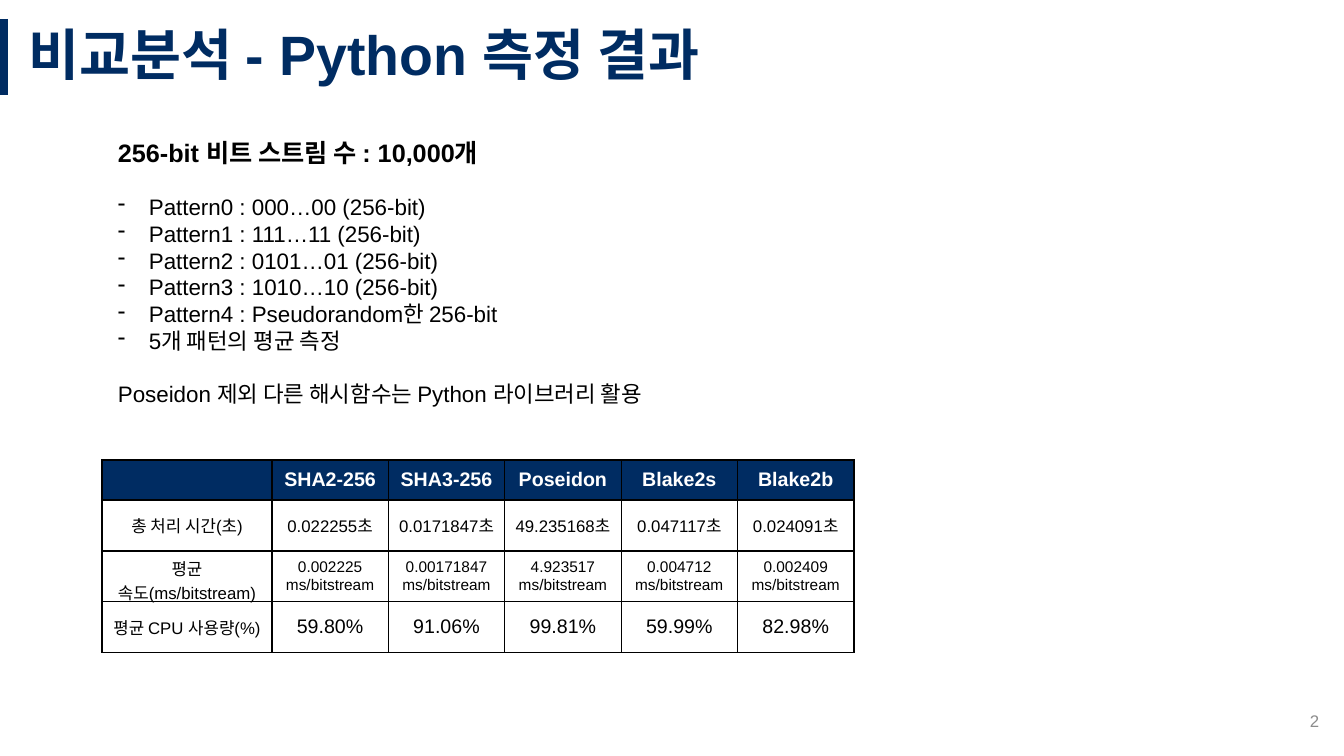
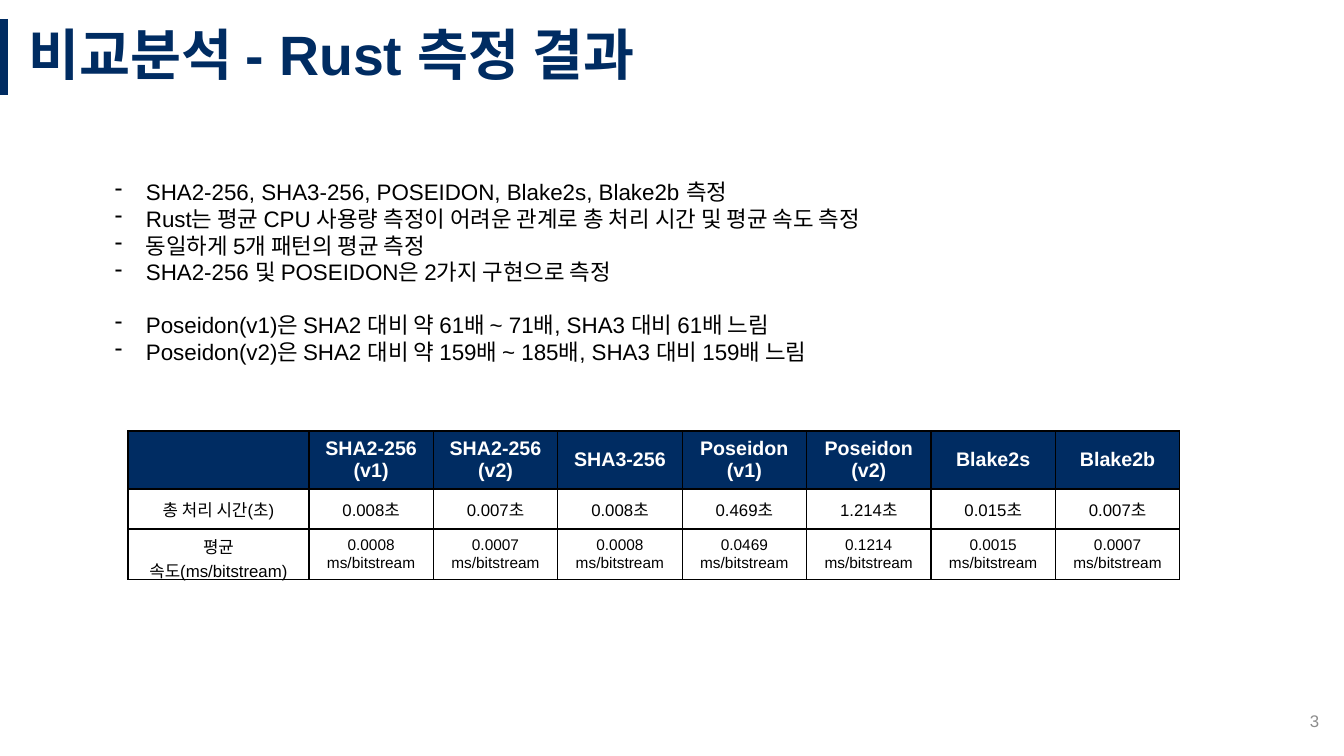
from lxml import etree
from pptx import Presentation, util as u
from pptx.dml.color import RGBColor
from pptx.enum import shapes, text
from pptx.oxml.ns import qn

SCALE = 914400 / 100.8  # EMU in one px
WIDTH, HEIGHT = 1344, 756
NAVY = RGBColor(0x00, 0x2C, 0x62)
BLACK = RGBColor(0x00, 0x00, 0x00)
WHITE = RGBColor(0xFF, 0xFF, 0xFF)
GRAY = RGBColor(0x8C, 0x8C, 0x8C)
FONT = "Arial"
INDENT = 31
BLANK_LINE = 18.4  # points left free between groups of paragraphs

TIME_LABEL = "총 처리 시간(초)"
SPEED_LABEL = "평균 속도(ms/bitstream)"
CPU_LABEL = "평균 CPU 사용량(%)"


def emu(px):
    return u.Emu(round(px * SCALE))


def seconds(values):
    return [f"{value}초" for value in values.split()]


def speeds(values):
    return [f"{value}\nms/bitstream" for value in values.split()]


class Report:
    def __init__(self):
        self.deck = Presentation()
        self.deck.slide_width, self.deck.slide_height = emu(WIDTH), emu(HEIGHT)
        self.slide = None

    def add_slide(self, title, number):
        self.slide = self.deck.slides.add_slide(self.deck.slide_layouts[6])
        self.title_bar()
        frame = self.text_box(19, 19, 1325, 76, text.MSO_ANCHOR.MIDDLE)
        frame.text = title
        frame.paragraphs[0].line_spacing = 0.9
        self.style(frame.paragraphs[0], 39.6, NAVY, bold=True)
        frame = self.text_box(1027, 701, 302, 40, text.MSO_ANCHOR.MIDDLE)
        frame.text = str(number)
        frame.paragraphs[0].alignment = text.PP_ALIGN.RIGHT
        self.style(frame.paragraphs[0], 12, GRAY)

    def title_bar(self):
        bar = self.slide.shapes.add_connector(
            shapes.MSO_CONNECTOR.STRAIGHT, emu(4), emu(19), emu(4), emu(95))
        bar.line.color.rgb = NAVY
        bar.line.width = u.Pt(6)
        etree.SubElement(bar._element.spPr, qn("a:effectLst"))

    def text_box(self, left, top, width, height, anchor=text.MSO_ANCHOR.TOP):
        box = self.slide.shapes.add_textbox(emu(left), emu(top), emu(width), emu(height))
        frame = box.text_frame
        frame.word_wrap = True
        frame.vertical_anchor = anchor
        return frame

    def style(self, para, size, color=BLACK, bold=False):
        for font in [para.font] + [span.font for span in para.runs]:
            font.name, font.size, font.bold = FONT, u.Pt(size), bold
            font.color.rgb = color

    def bullet(self, para):
        properties = para._p.get_or_add_pPr()
        properties.set("marL", str(emu(INDENT)))
        properties.set("indent", str(-emu(INDENT)))
        etree.SubElement(properties, qn("a:buChar"), char="-")

    def body(self, left, top, width, height, groups):
        """Write groups of (kind, lines), a blank line's height apart."""
        frame = self.text_box(left, top, width, height)
        para = None
        for kind, lines in groups:
            for index, line in enumerate(lines):
                first = para is None
                para = frame.paragraphs[0] if first else frame.add_paragraph()
                para.text = line
                if index == 0 and not first:
                    para.space_before = u.Pt(BLANK_LINE)
                if kind == "list":
                    self.bullet(para)
                heading = kind == "heading"
                self.style(para, 18 if heading else 16, bold=heading)

    def borders(self, cell):
        properties = cell._tc.get_or_add_tcPr()
        for side in ("a:lnL", "a:lnR", "a:lnT", "a:lnB"):
            line = etree.SubElement(properties, qn(side), w=str(u.Pt(1)))
            fill = etree.SubElement(line, qn("a:solidFill"))
            etree.SubElement(fill, qn("a:srgbClr"), val=str(BLACK))

    def fill_cell(self, cell, words, size, header):
        self.borders(cell)
        if header:
            cell.fill.solid()
            cell.fill.fore_color.rgb = NAVY
        else:
            cell.fill.background()
        cell.vertical_anchor = text.MSO_ANCHOR.MIDDLE
        cell.text_frame.text = words
        for para in cell.text_frame.paragraphs:
            para.alignment = text.PP_ALIGN.CENTER
            self.style(para, size, WHITE if header else BLACK, header)

    def table(self, left, top, width, label_width, headers, rows):
        """Rows are (height, value size, label, values); headers is the first."""
        rows = [headers, *rows]
        columns = len(headers[3])
        height = sum(row[0] for row in rows)
        table = self.slide.shapes.add_table(
            len(rows), columns + 1, emu(left), emu(top), emu(width), emu(height)).table
        table.first_row = table.horz_banding = False
        table.columns[0].width = emu(label_width)
        for column in range(1, columns + 1):
            table.columns[column].width = emu((width - label_width) / columns)
        for r, (row_height, size, label, values) in enumerate(rows):
            table.rows[r].height = emu(row_height)
            for c, words in enumerate([label, *values]):
                self.fill_cell(table.cell(r, c), words, size if c else 12, r == 0)


def main():
    report = Report()

    report.add_slide("비교분석 - Python 측정 결과", 2)
    report.body(108, 132, 922, 367, [
        ("heading", ["256-bit 비트 스트림 수 : 10,000개"]),
        ("list", [
            "Pattern0 : 000…00 (256-bit)",
            "Pattern1 : 111…11 (256-bit)",
            "Pattern2 : 0101…01 (256-bit)",
            "Pattern3 : 1010…10 (256-bit)",
            "Pattern4 : Pseudorandom한 256-bit",
            "5개 패턴의 평균 측정",
        ]),
        ("plain", ["Poseidon 제외 다른 해시함수는 Python 라이브러리 활용"]),
    ])
    report.table(
        102, 460, 752, 170,
        (40, 14, "", ["SHA2-256", "SHA3-256", "Poseidon", "Blake2s", "Blake2b"]),
        [
            (51, 12, TIME_LABEL, seconds("0.022255 0.0171847 49.235168 0.047117 0.024091")),
            (50, 11, SPEED_LABEL, speeds("0.002225 0.00171847 4.923517 0.004712 0.002409")),
            (51, 14, CPU_LABEL, ["59.80%", "91.06%", "99.81%", "59.99%", "82.98%"]),
        ])

    report.add_slide("비교분석 - Rust 측정 결과", 3)
    report.body(105, 173, 922, 201, [
        ("list", [
            "SHA2-256, SHA3-256, POSEIDON, Blake2s, Blake2b 측정",
            "Rust는 평균 CPU 사용량 측정이 어려운 관계로 총 처리 시간 및 평균 속도 측정",
            "동일하게 5개 패턴의 평균 측정",
            "SHA2-256 및 POSEIDON은 2가지 구현으로 측정",
        ]),
        ("list", [
            "Poseidon(v1)은 SHA2 대비 약 61배 ~ 71배, SHA3 대비 61배 느림",
            "Poseidon(v2)은 SHA2 대비 약 159배 ~ 185배, SHA3 대비 159배 느림",
        ]),
    ])
    report.table(
        128, 431, 1052, 181,
        (58, 14, "", ["SHA2-256\n(v1)", "SHA2-256\n(v2)", "SHA3-256",
                      "Poseidon\n(v1)", "Poseidon\n(v2)", "Blake2s", "Blake2b"]),
        [
            (40, 12, TIME_LABEL, seconds("0.008 0.007 0.008 0.469 1.214 0.015 0.007")),
            (50, 11, SPEED_LABEL, speeds("0.0008 0.0007 0.0008 0.0469 0.1214 0.0015 0.0007")),
        ])

    report.deck.save("out.pptx")


if __name__ == "__main__":
    main()
